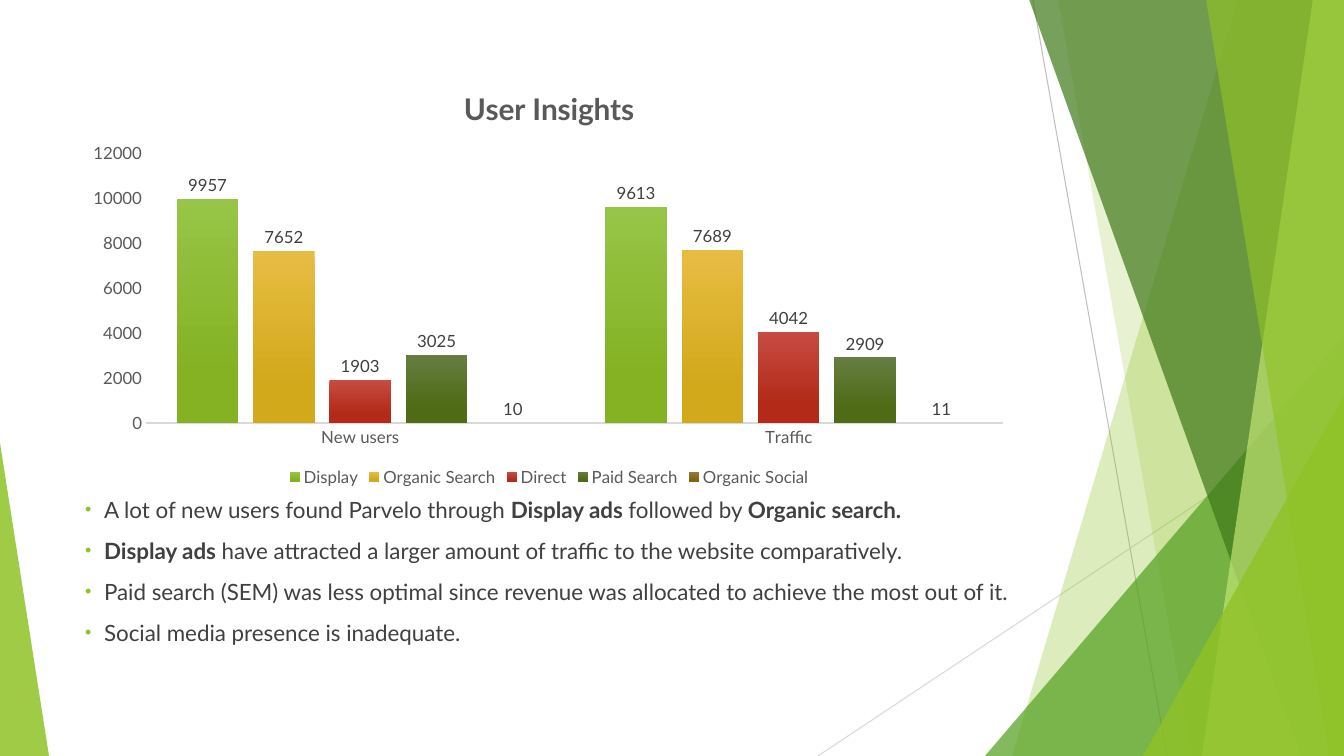
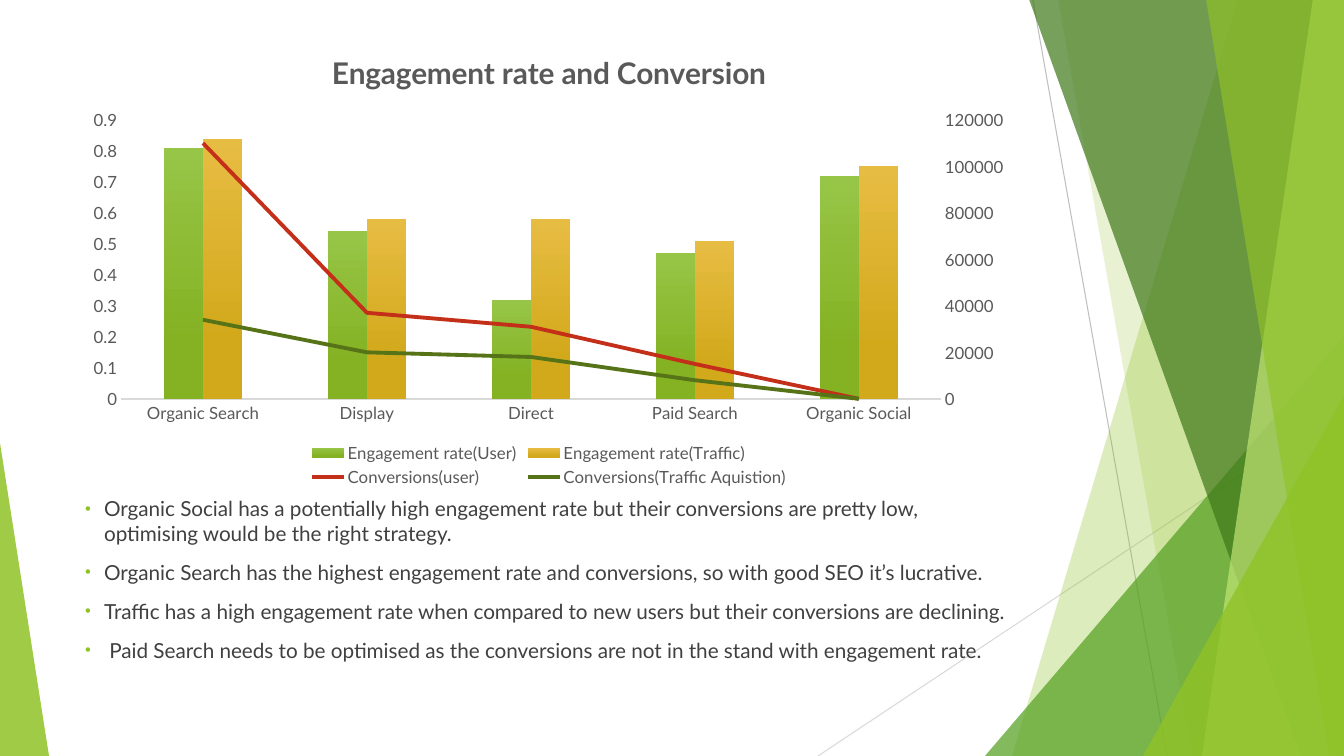
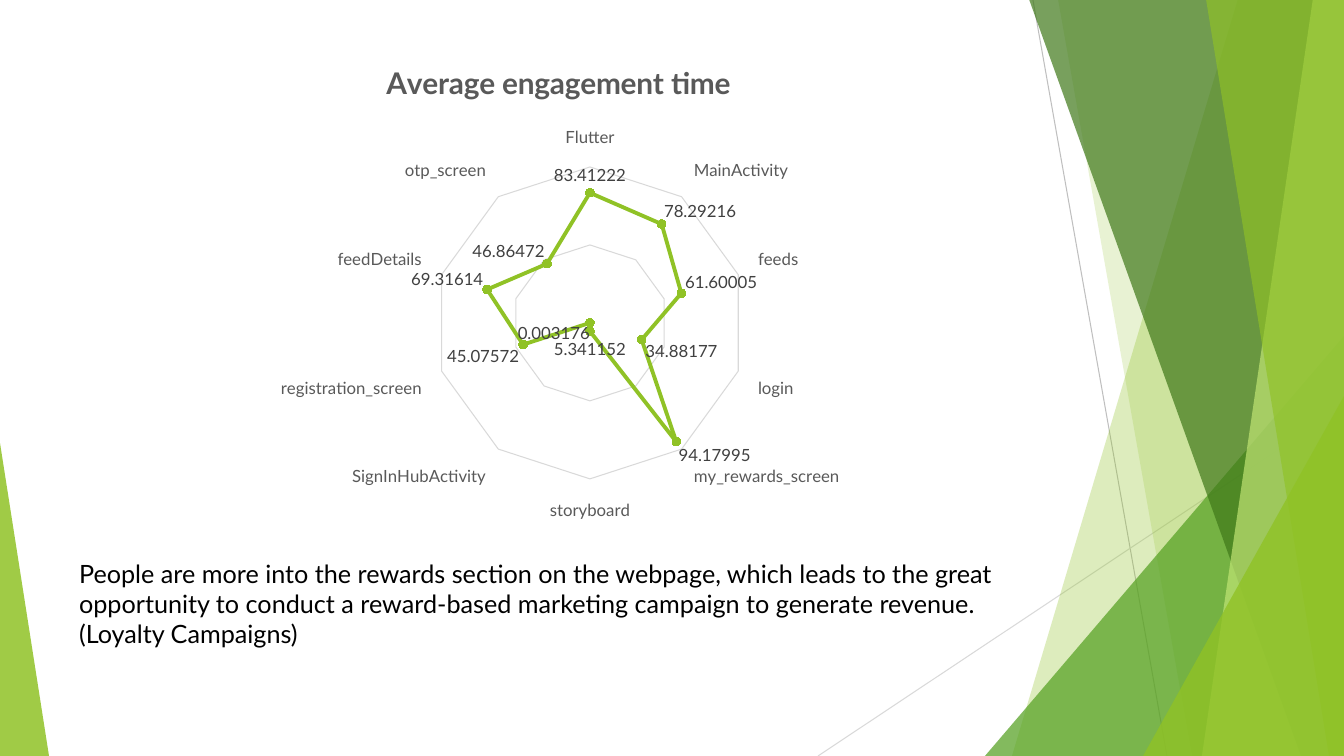
from copy import deepcopy

from lxml import etree
from pptx import Presentation
from pptx.chart.axis import CategoryAxis, ValueAxis
from pptx.chart.data import CategoryChartData
from pptx.dml.color import RGBColor
from pptx.enum.chart import (
    XL_CHART_TYPE as ChartType,
    XL_LABEL_POSITION as LabelPosition,
    XL_LEGEND_POSITION as LegendPosition,
    XL_MARKER_STYLE as MarkerStyle,
    XL_TICK_MARK as TickMark,
)
from pptx.enum.shapes import MSO_CONNECTOR, MSO_SHAPE
from pptx.enum.text import MSO_ANCHOR, MSO_AUTO_SIZE
from pptx.oxml import parse_xml
from pptx.oxml.ns import nsdecls, qn
from pptx.util import Emu, Pt

EMU_PER_PX = 914400 / 100.8
WIDTH, HEIGHT = 1344, 756

GREEN = RGBColor(0x90, 0xC2, 0x26)
LEAF = RGBColor(0x54, 0xA0, 0x21)
FOREST = RGBColor(0x3F, 0x78, 0x19)
LIME = RGBColor(0xC0, 0xE4, 0x74)
MARKER_GREEN = RGBColor(0x84, 0xB2, 0x23)
RED = RGBColor(0xC4, 0x2F, 0x1A)
OLIVE = RGBColor(0x56, 0x74, 0x17)
BLACK = RGBColor(0, 0, 0)
DARK = RGBColor(0x40, 0x40, 0x40)
GREY = RGBColor(0x59, 0x59, 0x59)
SILVER = RGBColor(0xBF, 0xBF, 0xBF)
PALE = RGBColor(0xD9, 0xD9, 0xD9)
COLUMN_GRADIENTS = [
    (RGBColor(0x97, 0xC5, 0x47), MARKER_GREEN),
    (RGBColor(0xE7, 0xBC, 0x43), RGBColor(0xD2, 0xA9, 0x1B)),
    (RGBColor(0xC7, 0x4B, 0x42), RGBColor(0xB3, 0x2B, 0x18)),
    (RGBColor(0x65, 0x7E, 0x41), RGBColor(0x4F, 0x6B, 0x15)),
    (RGBColor(0x93, 0x7B, 0x40), RGBColor(0x80, 0x67, 0x0E)),
]

CHART_TITLE = dict(name="Lato", size=Pt(21.3), bold=True)
CHART_TEXT = dict(name="Lato", size=Pt(12), bold=False)

# Asterisks enclose bold words. Boxes are left, top, width, height.
PAGES = [
    dict(
        title="User Insights",
        kind=ChartType.COLUMN_CLUSTERED,
        chart_box=(75, 68, 948, 423),
        plot_box=(146, 153, 857, 270),
        scale=dict(minimum_scale=0, maximum_scale=12000, major_unit=2000),
        categories=["New users", "Traffic"],
        series={
            "Display": [9957, 9613],
            "Organic Search": [7652, 7689],
            "Direct": [1903, 4042],
            "Paid Search": [3025, 2909],
            "Organic Social": [10, 11],
        },
        body_box=(75, 491, 948, 198), body_size=16, body_color=DARK, bullets=True,
        body=[
            "A lot of new users found Parvelo through *Display ads *followed by *Organic search.*",
            "*Display ads *have attracted a larger amount of traffic to the website comparatively.",
            "Paid search (SEM) was less optimal since revenue was allocated to achieve the most out of it.",
            "Social media presence is inadequate.",
        ],
    ),
    dict(
        title="Engagement rate and Conversion",
        kind=ChartType.COLUMN_CLUSTERED,
        chart_box=(75, 32, 948, 459),
        plot_box=(121, 120, 820, 279),
        scale=dict(minimum_scale=0, maximum_scale=0.9, major_unit=0.1),
        categories=["Organic Search", "Display", "Direct", "Paid Search", "Organic Social"],
        series={
            "Engagement rate(User)": [0.81, 0.54, 0.32, 0.47, 0.72],
            "Engagement rate(Traffic)": [0.84, 0.58, 0.58, 0.51, 0.75],
            "Conversions(user)": [110000, 37000, 31000, 15000, 0],
            "Conversions(Traffic Aquistion)": [34000, 20000, 18000, 8000, 0],
        },
        body_box=(75, 491, 948, 214), body_size=14.8, body_color=DARK, bullets=True,
        body=[
            "Organic Social has a potentially high engagement rate but their conversions are "
            "pretty low, optimising would be the right strategy.",
            "Organic Search has the highest engagement rate and conversions, so with good SEO it’s lucrative.",
            "Traffic has a high engagement rate when compared to new users but their conversions are declining.",
            " Paid Search needs to be optimised as the conversions are not in the stand with engagement rate.",
        ],
    ),
    dict(
        title="Average engagement time",
        kind=ChartType.RADAR_MARKERS,
        chart_box=(59, 41, 999, 495),
        plot_box=(434, 167, 312, 312),
        scale=dict(minimum_scale=0, maximum_scale=100, major_unit=50),
        categories=[
            "Flutter", "MainActivity", "feeds", "login", "my_rewards_screen", "storyboard",
            "SignInHubActivity", "registration_screen", "feedDetails", "otp_screen",
        ],
        series={
            "Average engagement time": [
                83.41222, 78.29216, 61.60005, 34.88177, 94.17995,
                5.341152, 0.003176, 45.07572, 69.31614, 46.86472,
            ],
        },
        body_box=(69, 553, 948, 144), body_size=18, body_color=BLACK, bullets=False,
        body=[
            "People are more into the rewards section on the webpage, which leads to the great "
            "opportunity to conduct a reward-based marketing campaign to generate revenue. "
            "(Loyalty Campaigns)",
        ],
    ),
]


def px(*lengths):
    return [Emu(round(length * EMU_PER_PX)) for length in lengths]


def set_font(font, color, values):
    for name, value in values.items():
        setattr(font, name, value)
    font.color.rgb = color


prs = Presentation()
prs.slide_width, prs.slide_height = px(WIDTH, HEIGHT)
content_layout = prs.slide_layouts[1]
slides = [prs.slides.add_slide(content_layout) for _ in PAGES]

# Backdrop: drawn once, then moved to the slide master
canvas = slides[0].shapes
backdrop = []
for ends, color in [((1033, 0, 1167, HEIGHT), SILVER), ((WIDTH, 406, 818, HEIGHT), PALE)]:
    ray = canvas.add_connector(MSO_CONNECTOR.STRAIGHT, *px(*ends))
    ray.line.color.rgb = color
    ray.line.width = Pt(0.75)
    etree.SubElement(ray._element.spPr, qn("a:effectLst"))
    backdrop.append(ray)

# A band has its left edge at the top and bottom; a triangle has a box and an apex.
FACETS = [
    ((1238, 1012), None, GREEN, 30),
    ((1058, 1192), None, GREEN, 20),
    ((985, 336, 359, 420), 1, LEAF, 72),
    ((1029, 1301), None, FOREST, 70),
    ((1313, 1202), None, LIME, 70),
    ((1206, 1329), None, GREEN, 65),
    ((1143, 396, 201, 360), 1, GREEN, 80),
    ((0, 443, 49, 313), 0, GREEN, 85),
]
for geometry, apex, color, opacity in FACETS:
    if apex is None:
        top_x, bottom_x = geometry
        outline = canvas.build_freeform(top_x, -1, scale=EMU_PER_PX)
        outline.add_line_segments([(WIDTH, -1), (WIDTH, HEIGHT), (bottom_x, HEIGHT)])
        facet = outline.convert_to_shape()
    else:
        facet = canvas.add_shape(MSO_SHAPE.ISOSCELES_TRIANGLE, *px(*geometry))
        facet.adjustments[0] = apex
    facet.shadow.inherit = False
    facet.line.fill.background()
    facet.fill.solid()
    facet.fill.fore_color.rgb = color
    tint = facet._element.spPr.find(".//" + qn("a:srgbClr"))
    etree.SubElement(tint, qn("a:alpha"), val=str(opacity * 1000))
    backdrop.append(facet)

for number, part in enumerate(backdrop, start=100):
    part._element.find(".//" + qn("p:cNvPr")).set("id", str(number))
    prs.slide_master.shapes._spTree.append(part._element)

# Commentary and chart of each slide
charts = []
for slide, page in zip(slides, PAGES):
    empty_title = slide.shapes.title._element
    empty_title.getparent().remove(empty_title)

    commentary = slide.placeholders[1]
    commentary.left, commentary.top, commentary.width, commentary.height = px(*page["body_box"])
    frame = commentary.text_frame
    frame.word_wrap = True
    frame.auto_size = MSO_AUTO_SIZE.NONE
    frame.vertical_anchor = MSO_ANCHOR.TOP
    for index, text in enumerate(page["body"]):
        paragraph = frame.add_paragraph() if index else frame.paragraphs[0]
        paragraph.space_before = Pt(10)
        for position, words in enumerate(text.split("*")):
            if words:
                run = paragraph.add_run()
                run.text = words
                set_font(run.font, page["body_color"],
                         dict(name="Lato", size=Pt(page["body_size"]), bold=position % 2 == 1))
        properties = paragraph._p.get_or_add_pPr()
        indent = px(19)[0] if page["bullets"] else 0
        properties.set("marL", str(indent))
        properties.set("indent", str(-indent))
        if page["bullets"]:
            bullet_color = etree.SubElement(properties, qn("a:buClr"))
            etree.SubElement(bullet_color, qn("a:srgbClr"), val=str(GREEN))
            etree.SubElement(properties, qn("a:buSzPct"), val="80000")
            etree.SubElement(properties, qn("a:buFont"), typeface="Arial")
            etree.SubElement(properties, qn("a:buChar"), char="•")
        else:
            etree.SubElement(properties, qn("a:buNone"))

    data = CategoryChartData()
    data.categories = page["categories"]
    for name, values in page["series"].items():
        data.add_series(name, values)
    chart = slide.shapes.add_chart(page["kind"], *px(*page["chart_box"]), data).chart
    charts.append(chart)
    set_font(chart.font, GREY, CHART_TEXT)
    chart.has_title = True
    chart.chart_title.include_in_layout = False
    chart.chart_title.text_frame.text = page["title"]
    set_font(chart.chart_title.text_frame.paragraphs[0].runs[0].font, GREY, CHART_TITLE)
    chart.plots[0].vary_by_categories = False

    chart.has_legend = len(page["series"]) > 1
    if chart.has_legend:
        chart.legend.position = LegendPosition.BOTTOM
        chart.legend.include_in_layout = False
        set_font(chart.legend.font, GREY, CHART_TEXT)

    for axis in (chart.category_axis, chart.value_axis):
        axis.has_major_gridlines = False
        axis.major_tick_mark = axis.minor_tick_mark = TickMark.NONE
        set_font(axis.tick_labels.font, GREY, CHART_TEXT)
    chart.category_axis.format.line.color.rgb = PALE
    chart.category_axis.format.line.width = Pt(1)
    chart.value_axis.format.line.fill.background()
    for name, value in page["scale"].items():
        setattr(chart.value_axis, name, value)

    left, top, width, height = page["chart_box"]
    plot_left, plot_top, plot_width, plot_height = page["plot_box"]
    fractions = dict(x=(plot_left - left) / width, y=(plot_top - top) / height,
                     w=plot_width / width, h=plot_height / height)
    plot_area = chart._chartSpace.chart.plotArea
    for automatic in plot_area.findall(qn("c:layout")):
        plot_area.remove(automatic)
    layout = etree.Element(qn("c:layout"))
    manual = etree.SubElement(layout, qn("c:manualLayout"))
    for tag, value in [("layoutTarget", "inner"), ("xMode", "edge"), ("yMode", "edge"),
                       *fractions.items()]:
        etree.SubElement(manual, qn("c:" + tag), val=str(value))
    plot_area.insert(0, layout)

insights, conversion, engagement = charts

# Gradient columns
insights.plots[0].gap_width, insights.plots[0].overlap = 100, -24
conversion.plots[0].gap_width, conversion.plots[0].overlap = 219, 0
insight_series = list(insights.plots[0].series)
rate_series = list(conversion.plots[0].series)[:2]
for group in (insight_series, rate_series):
    for series, gradient in zip(group, COLUMN_GRADIENTS):
        fill = series.format.fill
        fill.gradient()
        fill.gradient_angle = 270
        for stop, color, position in zip(fill.gradient_stops, gradient, (0, 0.78)):
            stop.color.rgb = color
            stop.position = position
        series.format.line.fill.background()

for series in [*insight_series, *engagement.plots[0].series]:
    series.data_labels.show_value = True
    set_font(series.data_labels.font, DARK, CHART_TEXT)
for series in insight_series:
    series.data_labels.position = LabelPosition.OUTSIDE_END

# Conversions as lines on a second axis
conversion_lines = list(conversion.plots[0].series)[2:]
line_plot = parse_xml(
    f'<c:lineChart {nsdecls("c")}><c:grouping val="standard"/><c:varyColors val="0"/>'
    '<c:marker val="1"/><c:axId val="5001"/><c:axId val="5002"/></c:lineChart>'
)
for series, color in zip(conversion_lines, (RED, OLIVE)):
    series.format.line.color.rgb = color
    series.format.line.width = Pt(2.75)
    element = series._element
    for bar_only in element.findall(qn("c:invertIfNegative")):
        element.remove(bar_only)
    marker = etree.Element(qn("c:marker"))
    etree.SubElement(marker, qn("c:symbol"), val="none")
    element.find(qn("c:spPr")).addnext(marker)
    etree.SubElement(element, qn("c:smooth"), val="0")
    line_plot.find(qn("c:marker")).addprevious(element)
conversion.plots[0]._element.addnext(line_plot)

rate_axis = conversion.value_axis._element
count_axis = deepcopy(rate_axis)
hidden_axis = deepcopy(conversion.category_axis._element)
for axis, own, other in [(hidden_axis, "5001", "5002"), (count_axis, "5002", "5001")]:
    axis.find(qn("c:axId")).set("val", own)
    axis.find(qn("c:crossAx")).set("val", other)
rate_axis.addnext(count_axis)
count_axis.addnext(hidden_axis)
count_axis.find(qn("c:axPos")).set("val", "r")
count_axis.find(qn("c:crosses")).set("val", "max")
CategoryAxis(hidden_axis).visible = False
for name, value in dict(maximum_scale=120000, major_unit=20000).items():
    setattr(ValueAxis(count_axis), name, value)

# Engagement radar
engagement.value_axis.has_major_gridlines = True
rings = engagement.value_axis.major_gridlines.format.line
rings.color.rgb = PALE
rings.width = Pt(0.75)
engagement.value_axis.visible = False
screen_time = engagement.plots[0].series[0]
screen_time.format.line.color.rgb = GREEN
screen_time.format.line.width = Pt(2.75)
screen_time.marker.style = MarkerStyle.CIRCLE
screen_time.marker.size = 6
screen_time.marker.format.fill.solid()
screen_time.marker.format.fill.fore_color.rgb = MARKER_GREEN
screen_time.marker.format.line.fill.background()

prs.save("out.pptx")
